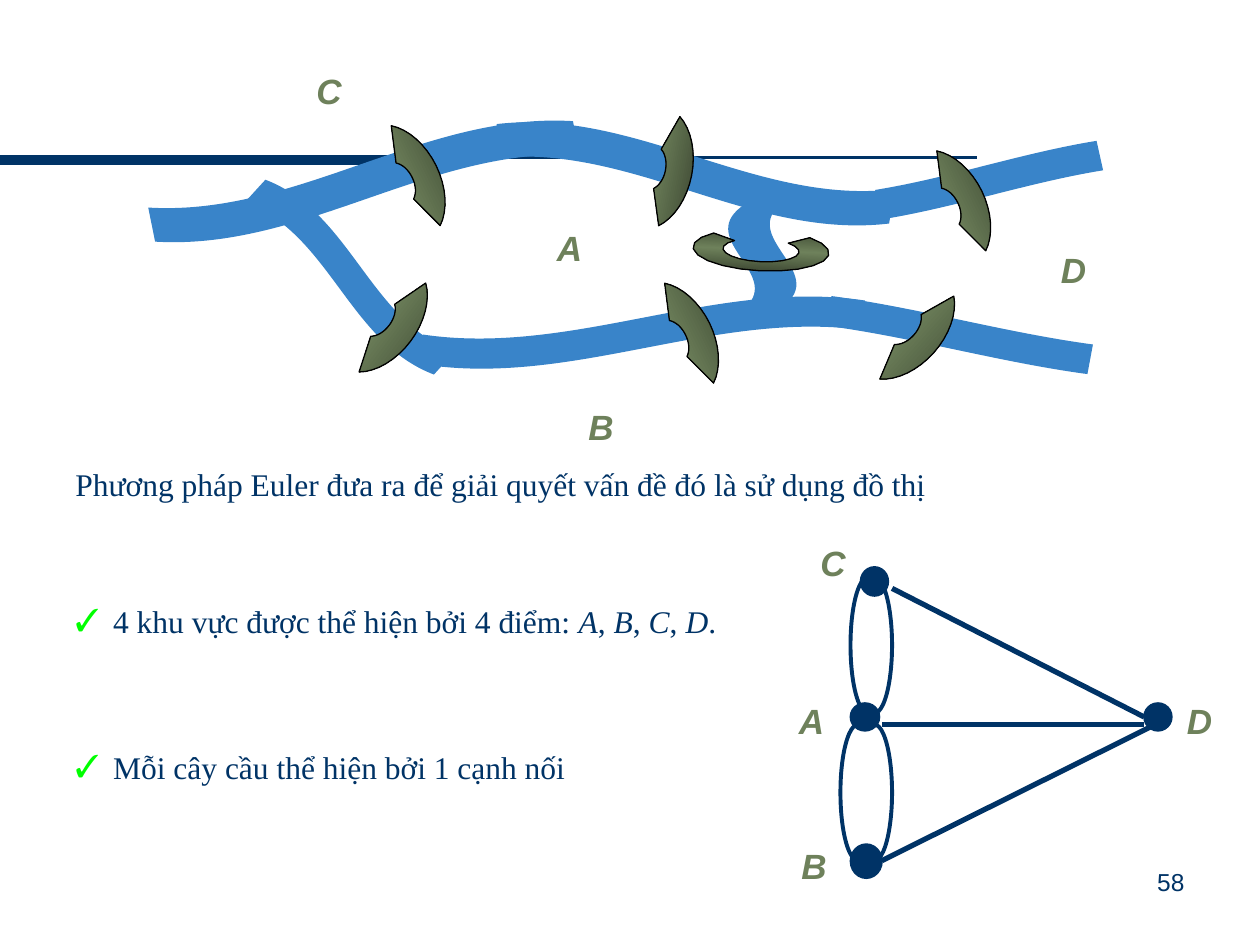
from copy import deepcopy
from math import cos, radians, sin

from lxml.etree import SubElement
from pptx import Presentation
from pptx.dml.color import RGBColor
from pptx.enum.shapes import MSO_CONNECTOR, MSO_SHAPE
from pptx.enum.text import MSO_AUTO_SIZE, PP_ALIGN
from pptx.oxml.ns import qn
from pptx.util import Inches, Pt

NAVY = RGBColor(0x00, 0x33, 0x66)
OLIVE = RGBColor(0x6E, 0x81, 0x5B)
DARK_OLIVE = RGBColor(0x33, 0x3C, 0x2A)
WATER = RGBColor(0x39, 0x84, 0xC9)
BLACK = RGBColor(0x00, 0x00, 0x00)

deck = Presentation()
deck.slide_width, deck.slide_height = Inches(10), Inches(7.5)
page = deck.slides.add_slide(deck.slide_layouts[6])


def add_text(text, left, top, width, height, *, size=18, font="Times New Roman",
             color=NAVY, bold=False, italic=False, align=PP_ALIGN.LEFT, wrap=True,
             inset=0.1, spacing=1.0, bullet=None):
    """Add a one-paragraph text box; parts between asterisks turn italic."""
    box = page.shapes.add_textbox(Inches(left), Inches(top), Inches(width), Inches(height))
    frame = box.text_frame
    frame.word_wrap = wrap
    frame.auto_size = MSO_AUTO_SIZE.NONE if wrap else MSO_AUTO_SIZE.SHAPE_TO_FIT_TEXT
    frame.margin_left = Inches(inset)
    para = frame.paragraphs[0]
    para.alignment = align
    para.line_spacing = spacing
    if bullet:
        properties = para._p.get_or_add_pPr()
        properties.set("marL", str(Inches(0.3)))
        properties.set("indent", str(-Inches(0.3)))
        bullet_color = SubElement(properties, qn("a:buClr"))
        SubElement(bullet_color, qn("a:srgbClr")).set("val", "00FF00")
        SubElement(properties, qn("a:buFont")).set("typeface", font)
        SubElement(properties, qn("a:buChar")).set("char", bullet)
    for index, part in enumerate(text.split("*")):
        span = para.add_run()
        span.text = part
        span.font.size, span.font.name = Pt(size), font
        span.font.color.rgb = color
        span.font.bold, span.font.italic = bold, italic or index % 2 == 1


def add_line(start, end, weight):
    line = page.shapes.add_connector(
        MSO_CONNECTOR.STRAIGHT, *(Inches(value) for value in (*start, *end)))
    line.line.color.rgb, line.line.width = NAVY, Pt(weight)
    SubElement(line._element.spPr, qn("a:effectLst"))


# Title rule
add_line((7.75, 1.25), (0, 1.25), 1.5)
add_line((0, 1.27), (3.42, 1.27), 6)

add_text("Phương pháp Euler đưa ra để giải quyết vấn đề đó là sử dụng đồ thị",
         0.5, 3.58, 8.83, 0.46, spacing=1.2)

# Graph: nodes, straight edges, curved double edges
for left, top, width, height in [(6.83, 4.5, 0.22, 0.23), (6.75, 6.7, 0.25, 0.27),
                                 (6.75, 5.58, 0.23, 0.22), (9.08, 5.58, 0.22, 0.22)]:
    node = page.shapes.add_shape(MSO_SHAPE.OVAL, Inches(left), Inches(top),
                                 Inches(width), Inches(height))
    node.shadow.inherit = False
    node.fill.solid()
    node.fill.fore_color.rgb = node.line.color.rgb = NAVY
    node.line.width = Pt(1)

add_line((7, 6.83), (9.17, 5.75), 3)
add_line((9.08, 5.69), (7.08, 4.67), 3)
add_line((9.08, 5.75), (7, 5.75), 3)

UP, DOWN = 162, 54  # arc angles of 270 and 90 degrees
for left, top, start, end in [(6.8, 4.58, UP, DOWN), (6.8, 5.75, UP, DOWN),
                              (6.75, 4.58, DOWN, UP), (6.67, 5.75, DOWN, UP)]:
    edge = page.shapes.add_shape(MSO_SHAPE.ARC, Inches(left), Inches(top),
                                 Inches(0.28), Inches(1.08))
    edge.adjustments[0], edge.adjustments[1] = start, end
    edge.shadow.inherit = False
    edge.fill.background()
    edge.line.color.rgb, edge.line.width = NAVY, Pt(2.25)

# River: left, top, width, height, rotation, mirrored, wave depth, skew
for left, top, width, height, rotation, mirrored, depth, skew in [
        (3.9, 1.15, 3.2, 0.46, 9.3, False, 0.206, 0),
        (1.17, 1.21, 3.44, 0.46, 348.5, True, 0.206, 0),
        (1.76, 2, 2.03, 0.4, 42.4, False, 0.206, 0),
        (3.36, 2.44, 3.52, 0.4, 355.6, True, 0.206, 0),
        (5.62, 1.76, 0.86, 0.55, 90, True, 0.206, -0.02),
        (6.56, 2.53, 2.11, 0.26, 10.5, False, 0.04, 0),
        (6.95, 1.3, 1.8, 0.26, 347.5, True, 0.04, 0)]:
    river = page.shapes.add_shape(MSO_SHAPE.WAVE, Inches(left), Inches(top),
                                  Inches(width), Inches(height))
    river.adjustments[0], river.adjustments[1] = depth, skew
    river.rotation = rotation
    if mirrored:
        river._element.spPr.xfrm.set("flipH", "1")
    river.shadow.inherit = False
    river.fill.solid()
    river.fill.fore_color.rgb = WATER
    river.line.fill.background()

# Bridges: block arcs from a start angle to its mirror, with a scaled inner edge
STEPS = 16
SMALL, WIDE = (0.99, 0.66, 27, 0.36), (1.08, 0.33, -45, 0.56)
for left, top, rotation, flipped, (width, height, start, inner) in [
        (4.84, 2.38, 243.9, False, SMALL), (7, 1.33, 243.9, False, SMALL),
        (4.67, 1, 101, True, SMALL), (2.5, 2.18, 306.8, False, SMALL),
        (2.67, 1.13, 243.9, False, SMALL), (6.67, 2.25, 311.7, False, SMALL),
        (5.5, 1.82, 2.8, False, WIDE)]:
    angles = [radians(start + (180 - 2 * start) * step / STEPS) for step in range(STEPS + 1)]
    outline = [(Inches(left + width / 2 * (1 + scale * cos(angle))),
                Inches(top + height / 2 * (1 + scale * sin(angle))))
               for scale, sweep in ((1, angles), (inner, angles[::-1])) for angle in sweep]
    # The first two moves stretch the frame to the whole ellipse
    builder = page.shapes.build_freeform(Inches(left), Inches(top))
    builder.move_to(Inches(left + width), Inches(top + height))
    builder.move_to(*outline[0])
    builder.add_line_segments(outline[1:], close=True)
    bridge = builder.convert_to_shape()
    bridge.rotation = rotation
    if flipped:
        bridge._element.spPr.xfrm.set("flipV", "1")
    bridge.shadow.inherit = False
    bridge.line.color.rgb, bridge.line.width = BLACK, Pt(0.75)
    bridge.fill.gradient()
    bridge.fill.gradient_angle = 270
    stop_list = bridge._element.spPr.find(qn("a:gradFill")).find(qn("a:gsLst"))
    stop_list.append(deepcopy(stop_list[0]))
    for stop, position, color in zip(bridge.fill.gradient_stops, (0, 0.5, 1),
                                     (DARK_OLIVE, OLIVE, DARK_OLIVE)):
        stop.position, stop.color.rgb = position, color

# Area names on the map and on the graph
for name, left, top in [("A", 4.25, 1.75), ("B", 4.5, 3.17), ("C", 2.34, 0.5), ("D", 8.25, 1.92),
                        ("A", 6.17, 5.5), ("B", 6.19, 6.65), ("C", 6.34, 4.25), ("D", 9.25, 5.5)]:
    add_text(name, left, top, 0.48, 0.44, size=20, font="Arial", color=OLIVE,
             bold=True, italic=True, wrap=False, inset=0.17)

add_text("4 khu vực được thể hiện bởi 4 điểm: *A*, *B*, *C*, *D*.",
         0.5, 4.67, 5.5, 0.46, spacing=1.2, bullet="✓")
add_text("Mỗi cây cầu thể hiện bởi 1 cạnh nối", 0.5, 5.83, 4.67, 0.46, spacing=1.2, bullet="✓")
add_text("58", 7.17, 6.83, 2.33, 0.52, size=14, font="Arial", align=PP_ALIGN.RIGHT)

deck.save("out.pptx")
